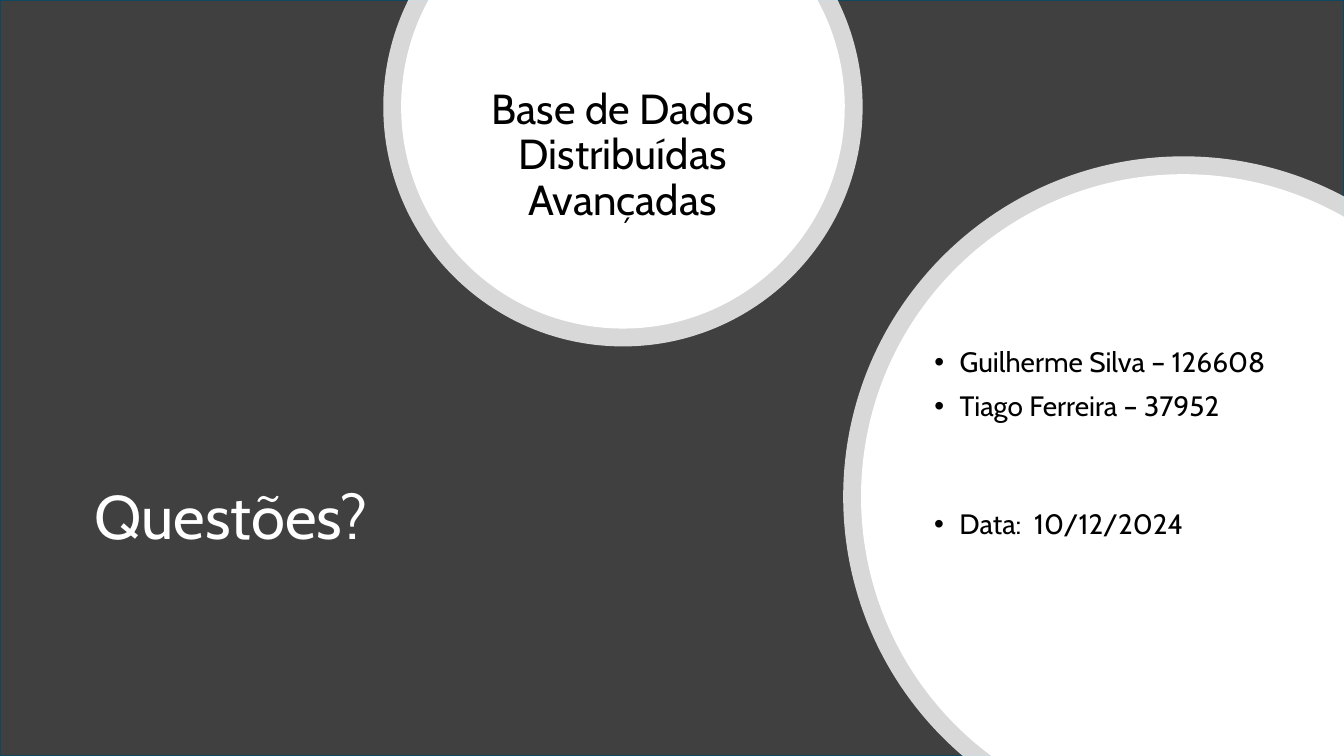
from itertools import pairwise
from math import acos, asin, cos, pi, sin, tan

from lxml.etree import SubElement
from pptx import Presentation
from pptx.dml.color import RGBColor
from pptx.enum.shapes import MSO_SHAPE as Shape
from pptx.enum.text import MSO_ANCHOR as Anchor, MSO_AUTO_SIZE as AutoSize, PP_ALIGN as Align
from pptx.oxml.ns import qn
from pptx.util import Cm, Pt

DARK = RGBColor(0x40, 0x40, 0x40)
EDGE = RGBColor(0x10, 0x47, 0x60)
WHITE = RGBColor(0xFF, 0xFF, 0xFF)
BLACK = RGBColor(0, 0, 0)
WIDTH, HEIGHT = 33.87, 19.05
RING = 0.45


def add_disc(x, y, radius, angles, corners, opacity):
    """Draw a white disc with one curve between each two angles, closed through the corners."""
    nodes = [(x + radius * cos(angles[0]), y + radius * sin(angles[0]))]
    for start, end in pairwise(angles):
        reach = 4 / 3 * tan((end - start) / 4)
        nodes += [
            (x + radius * (cos(start) - reach * sin(start)), y + radius * (sin(start) + reach * cos(start))),
            (x + radius * (cos(end) + reach * sin(end)), y + radius * (sin(end) - reach * cos(end))),
            (x + radius * cos(end), y + radius * sin(end)),
        ]
    points = [(Cm(px), Cm(py)) for px, py in nodes + corners]
    builder = slide.shapes.build_freeform(*points[0])
    builder.add_line_segments(points[1:])
    disc = builder.convert_to_shape()

    # Turn each three line ends of the arc into one Bézier curve
    lines = list(disc._element.iter(qn("a:lnTo")))[:len(nodes) - 1]
    for first in range(0, len(lines), 3):
        curve = lines[first].makeelement(qn("a:cubicBezTo"))
        lines[first].addprevious(curve)
        for line in lines[first:first + 3]:
            curve.append(line[0])
            line.getparent().remove(line)

    disc.shadow.inherit = False
    disc.fill.solid()
    disc.fill.fore_color.rgb = WHITE
    disc.line.fill.background()
    if opacity < 100:
        color = disc.fill._xPr.find(qn("a:solidFill"))[0]
        SubElement(color, qn("a:alpha"), val=str(opacity * 1000))


def write_text(holder, box, lines, size, color, align=Align.LEFT, space=10, bullet=False):
    holder.left, holder.top, holder.width, holder.height = [Cm(v) for v in box]
    frame = holder.text_frame
    frame.word_wrap = True
    frame.auto_size = AutoSize.NONE
    frame.vertical_anchor = Anchor.MIDDLE
    for number, line in enumerate(lines):
        paragraph = frame.add_paragraph() if number else frame.paragraphs[0]
        paragraph.alignment = align
        paragraph.line_spacing = 0.9
        paragraph.space_before = Pt(space)
        props = paragraph._p.get_or_add_pPr()
        indent = Cm(0.64) if bullet else 0
        props.set("marL", str(indent))
        props.set("indent", str(-indent))
        if bullet:
            SubElement(props, qn("a:buFont"), typeface="Arial")
            SubElement(props, qn("a:buChar"), char="•")
        else:
            SubElement(props, qn("a:buNone"))
        run = paragraph.add_run()
        run.text = line
        run.font.name = "Cabin"
        run.font.size = Pt(size)
        run.font.color.rgb = color


prs = Presentation()
prs.slide_width, prs.slide_height = Cm(WIDTH), Cm(HEIGHT)
slide = prs.slides.add_slide(prs.slide_layouts.get_by_name("Two Content"))
question, course, authors = slide.placeholders

backdrop = slide.shapes.add_shape(Shape.RECTANGLE, 0, 0, Cm(WIDTH), Cm(HEIGHT))
backdrop.shadow.inherit = False
backdrop.fill.solid()
backdrop.fill.fore_color.rgb = DARK
backdrop.line.color.rgb = EDGE
backdrop.line.width = Pt(1.5)

for inset, opacity in ((0, 80), (RING, 100)):
    # The course disc is cut by the top edge
    x, y, radius = 15.7, 2.69, 6.04 - inset
    cut = asin(y / radius)
    add_disc(x, y, radius, [-cut, 0, pi / 2, pi, pi + cut], [], opacity)

    # The authors disc is cut by the bottom and right edges
    x, y, radius = 29.83, 12.52, 8.58 - inset
    bottom = pi - asin((HEIGHT - y) / radius)
    right = 2 * pi - acos((WIDTH - x) / radius)
    add_disc(x, y, radius, [bottom, pi, 3 * pi / 2, right], [(WIDTH, HEIGHT)], opacity)

date = slide.shapes.add_textbox(0, 0, 0, 0)

# The placeholders come first in the tree, so lift them above the discs
for holder in (question, course, authors):
    slide.shapes._spTree.append(holder._element)

write_text(question, (2.13, 9.73, 16.81, 6.73), ["Questões?"], 44, WHITE, space=0)
write_text(course, (10.9, 1.45, 9.58, 4.98), ["Base de Dados Distribuídas Avançadas"],
           30, BLACK, align=Align.CENTER)
write_text(date, (23.29, 8.74, 9.65, 7.72), ["Data:  10/12/2024"], 20, BLACK, bullet=True)
date.text_frame.margin_top = Cm(1.42)
write_text(authors, (23.29, 7.22, 9.65, 4.98),
           ["Guilherme Silva – 126608", "Tiago Ferreira – 37952"], 20, BLACK, bullet=True)

prs.save("out.pptx")
